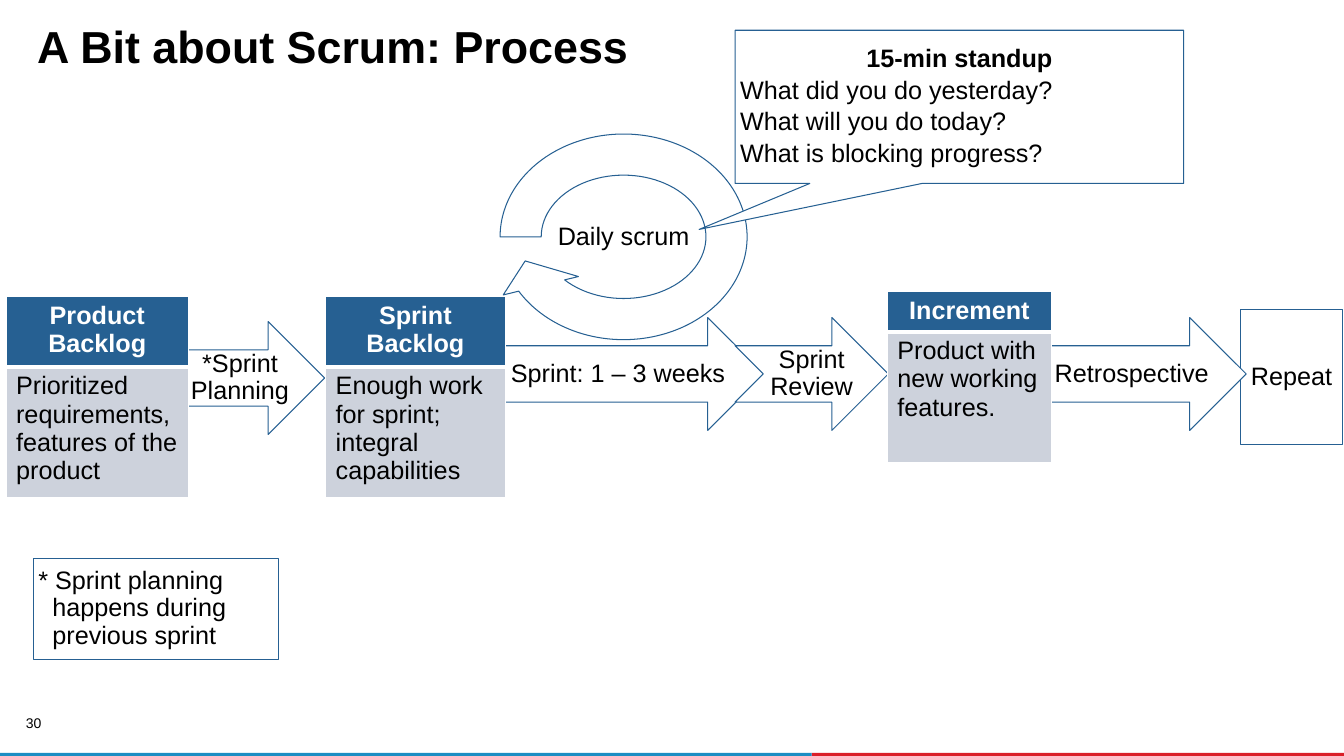
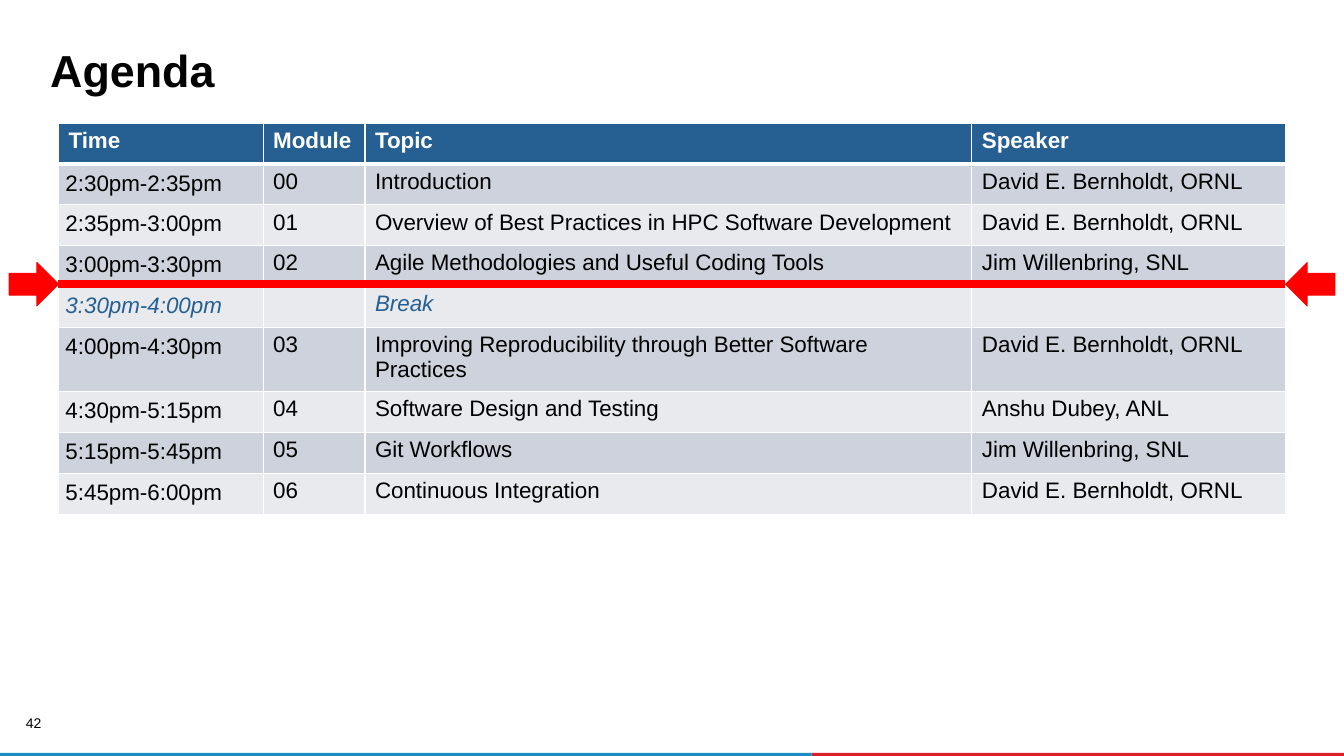
from lxml import etree
from pptx import Presentation
from pptx.dml.color import RGBColor
from pptx.enum.shapes import MSO_CONNECTOR, MSO_SHAPE
from pptx.enum.text import MSO_ANCHOR, PP_ALIGN
from pptx.oxml.ns import qn
from pptx.util import Inches, Pt

RECTANGLE = MSO_SHAPE.RECTANGLE
NOTCHED_ARROW = MSO_SHAPE.NOTCHED_RIGHT_ARROW
RIGHT_ARROW = MSO_SHAPE.RIGHT_ARROW
CIRCULAR_ARROW = MSO_SHAPE.CIRCULAR_ARROW
CALLOUT = MSO_SHAPE.RECTANGULAR_CALLOUT
STRAIGHT = MSO_CONNECTOR.STRAIGHT
LEFT, CENTER, RIGHT = PP_ALIGN.LEFT, PP_ALIGN.CENTER, PP_ALIGN.RIGHT
MIDDLE, BOTTOM = MSO_ANCHOR.MIDDLE, MSO_ANCHOR.BOTTOM

WIDTH, HEIGHT = 13.33, 7.5
FONT = "Arial"
BLACK, WHITE, NAVY = "000000", "FFFFFF", "266092"
SKY, CRIMSON, RED = "1B8DC3", "DA1F28", "FF0000"
STRIPES = ("CDD2DC", "E8EAEE")
THIN, THICK = 1, 3

AGENDA_COLUMNS = (2.03, 1.01, 6.02, 3.11)
AGENDA = (
    ("Time", "Module", "Topic", "Speaker"),
    ("2:30pm-2:35pm", "00", "Introduction", "David E. Bernholdt, ORNL"),
    ("2:35pm-3:00pm", "01", "Overview of Best Practices in HPC Software Development",
     "David E. Bernholdt, ORNL"),
    ("3:00pm-3:30pm", "02", "Agile Methodologies and Useful Coding Tools",
     "Jim Willenbring, SNL"),
    ("3:30pm-4:00pm", "", "Break", ""),
    ("4:00pm-4:30pm", "03", "Improving Reproducibility through Better Software Practices",
     "David E. Bernholdt, ORNL"),
    ("4:30pm-5:15pm", "04", "Software Design and Testing", "Anshu Dubey, ANL"),
    ("5:15pm-5:45pm", "05", "Git Workflows", "Jim Willenbring, SNL"),
    ("5:45pm-6:00pm", "06", "Continuous Integration", "David E. Bernholdt, ORNL"),
)
BREAK_ROW = 4


def rgb(color):
    return RGBColor.from_string(color)


def place(box):
    return [Inches(length) for length in box]


def write(frame, text, size=18, color=BLACK, bold=False, italic=False,
          align=LEFT, spacing=None, before=None, hanging=0, append=False):
    para = frame.add_paragraph() if append else frame.paragraphs[0]
    para.alignment = align
    if spacing:
        para.line_spacing = spacing
    if before:
        para.space_before = Pt(before)
    if hanging:
        properties = para._p.get_or_add_pPr()
        properties.set("marL", str(Inches(hanging)))
        properties.set("indent", str(-Inches(hanging)))
    span = para.add_run()
    span.text = text
    span.font.name = FONT
    span.font.size = Pt(size)
    span.font.color.rgb = rgb(color)
    span.font.bold = bold
    span.font.italic = italic


def set_margins(target, across, down):
    target.margin_left = target.margin_right = Inches(across)
    target.margin_top = target.margin_bottom = Inches(down)


def add_label(page, box, text, anchor=BOTTOM, margins=(0.1, 0.05), **style):
    frame = page.shapes.add_textbox(*place(box)).text_frame
    frame.word_wrap = True
    frame.vertical_anchor = anchor
    set_margins(frame, *margins)
    write(frame, text, **style)


def add_figure(page, kind, box, fill=WHITE, line=NAVY, adjustments=()):
    figure = page.shapes.add_shape(kind, *place(box))
    figure.shadow.inherit = False
    figure.fill.solid()
    figure.fill.fore_color.rgb = rgb(fill)
    if line:
        figure.line.color.rgb = rgb(line)
        figure.line.width = Pt(0.75)
    else:
        figure.line.fill.background()
    for index, value in enumerate(adjustments):
        figure.adjustments[index] = value
    return figure


def add_step(page, kind, box, text, adjustments=(), align=CENTER, **style):
    frame = add_figure(page, kind, box, adjustments=adjustments).text_frame
    frame.word_wrap = True
    frame.vertical_anchor = MIDDLE
    set_margins(frame, 0.05, 0.05)
    write(frame, text, align=align, spacing=0.9, **style)
    return frame


def style_cell(cell, fill, top=THIN, bottom=THIN):
    cell.fill.solid()
    cell.fill.fore_color.rgb = rgb(fill)
    properties = cell._tc.get_or_add_tcPr()
    edges = (("lnL", THIN), ("lnR", THIN), ("lnT", top), ("lnB", bottom))
    for index, (edge, points) in enumerate(edges):
        border = etree.Element(qn(f"a:{edge}"), w=str(Pt(points)))
        solid = etree.SubElement(border, qn("a:solidFill"))
        etree.SubElement(solid, qn("a:srgbClr"), val=WHITE)
        properties.insert(index, border)


def add_grid(page, box, columns, rows):
    table = page.shapes.add_table(len(rows), len(columns), *place(box)).table
    table.first_row = table.horz_banding = False
    for column, width in zip(table.columns, columns):
        column.width = Inches(width)
    for row, height in zip(table.rows, rows):
        row.height = Inches(height)
    for number, row in enumerate(table.rows):
        for cell in row.cells:
            if number == 0:
                style_cell(cell, NAVY, bottom=THICK)
            else:
                style_cell(cell, STRIPES[(number - 1) % 2], top=THICK if number == 1 else THIN)
    return table


def add_card(page, left, top, width, heading, body):
    rows = (0.4, 1.3)
    table = add_grid(page, (left, top, width, sum(rows)), (width,), rows)
    write(table.cell(0, 0).text_frame, heading, color=WHITE, bold=True, align=CENTER)
    write(table.cell(1, 0).text_frame, body)


def add_frame(deck, number, title, title_left, title_top):
    page = deck.slides.add_slide(deck.slide_layouts[6])
    split, top, depth = 8.05, 7.47, 0.03
    add_figure(page, RECTANGLE, (split, top, WIDTH - split, depth), CRIMSON, None)
    add_figure(page, RECTANGLE, (0, top, split, depth), SKY, None)
    add_label(page, (0.18, 7.09, 0.23, 0.17), number, margins=(0, 0),
              size=10, align=RIGHT, spacing=0.9)
    add_label(page, (title_left, title_top, 12.44, 0.56), title,
              size=32, bold=True, spacing=0.85)
    return page


def add_flow(page, left, top):
    def arrow(offset, width, text, drop=0):
        add_step(page, NOTCHED_ARROW, (left + offset, top + drop, width, 1.12), text)

    add_step(page, RECTANGLE, (left + 12.24, top - 0.08, 1.02, 1.34), "Repeat")
    arrow(10.03, 2.27, "Retrospective")
    arrow(4.62, 2.9, "Sprint: 1 – 3 weeks")
    arrow(1.48, 1.68, "*Sprint Planning", drop=0.04)
    add_card(page, left, top - 0.21, 1.81, "Product Backlog",
             "Prioritized requirements, features of the product")
    add_card(page, left + 3.17, top - 0.21, 1.78, "Sprint Backlog",
             "Enough work for sprint; integral capabilities")
    add_step(page, CIRCULAR_ARROW, (left + 4.72, top - 2, 2.81, 2.4), "Daily scrum",
             adjustments=(0.17, 10.1, 89.64, 108, 0.16))
    arrow(7.23, 1.52, "Sprint Review")
    add_card(page, left + 8.74, top - 0.26, 1.63, "Increment",
             "Product with new working features.")


def add_standup(page, box):
    frame = add_step(page, CALLOUT, box, "15-min standup", bold=True,
                     adjustments=(-0.58, 0.8))
    for question in ("What did you do yesterday?", "What will you do today?",
                     "What is blocking progress?"):
        write(frame, question, spacing=0.9, before=3, append=True)


def add_agenda(page, box):
    height = box[3] / len(AGENDA)
    table = add_grid(page, box, AGENDA_COLUMNS, [height] * len(AGENDA))
    for row, entries in enumerate(AGENDA):
        heading, pause = row == 0, row == BREAK_ROW
        color = WHITE if heading else NAVY if pause else BLACK
        for column, text in enumerate(entries):
            cell = table.cell(row, column)
            if column == 0 and not heading:
                set_margins(cell, 0.07, 0.07)
            if text:
                write(cell.text_frame, text, size=16, color=color,
                      bold=heading, italic=pause)


def add_marker(page, left, right, middle):
    line = page.shapes.add_connector(STRAIGHT, *place((left, middle, right, middle)))
    line.line.color.rgb = rgb(RED)
    line.line.width = Pt(6)
    etree.SubElement(line._element.spPr, qn("a:effectLst"))
    width, height = 0.49, 0.43
    for start, rotation in ((left - width, 0), (right, 180)):
        box = (start, middle - height / 2, width, height)
        add_figure(page, RIGHT_ARROW, box, RED, RED).rotation = rotation


def build_process(deck):
    page = add_frame(deck, "30", "A Bit about Scrum: Process", 0.27, 0.21)
    add_flow(page, 0.06, 3.15)
    add_standup(page, (7.29, 0.3, 4.45, 1.52))
    add_step(page, RECTANGLE, (0.33, 5.54, 2.43, 1),
             "* Sprint planning happens during previous sprint", align=LEFT, hanging=0.14)


def build_agenda(deck):
    page = add_frame(deck, "42", "Agenda", 0.4, 0.45)
    left, top, width = 0.58, 1.22, sum(AGENDA_COLUMNS)
    add_agenda(page, (left, top, width, 3.65))
    add_marker(page, left, left + width, top + 1.6)


def main():
    deck = Presentation()
    deck.slide_width, deck.slide_height = Inches(WIDTH), Inches(HEIGHT)
    build_process(deck)
    build_agenda(deck)
    deck.save("out.pptx")


if __name__ == "__main__":
    main()
